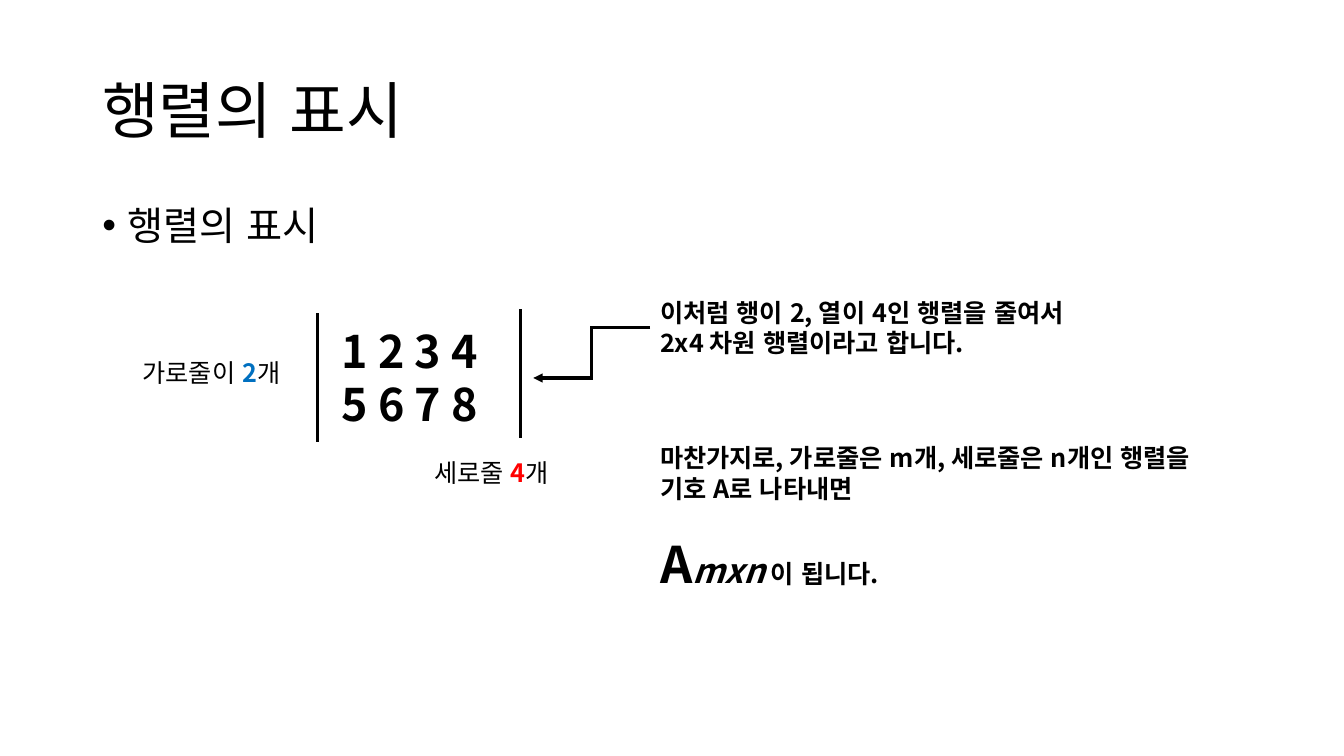
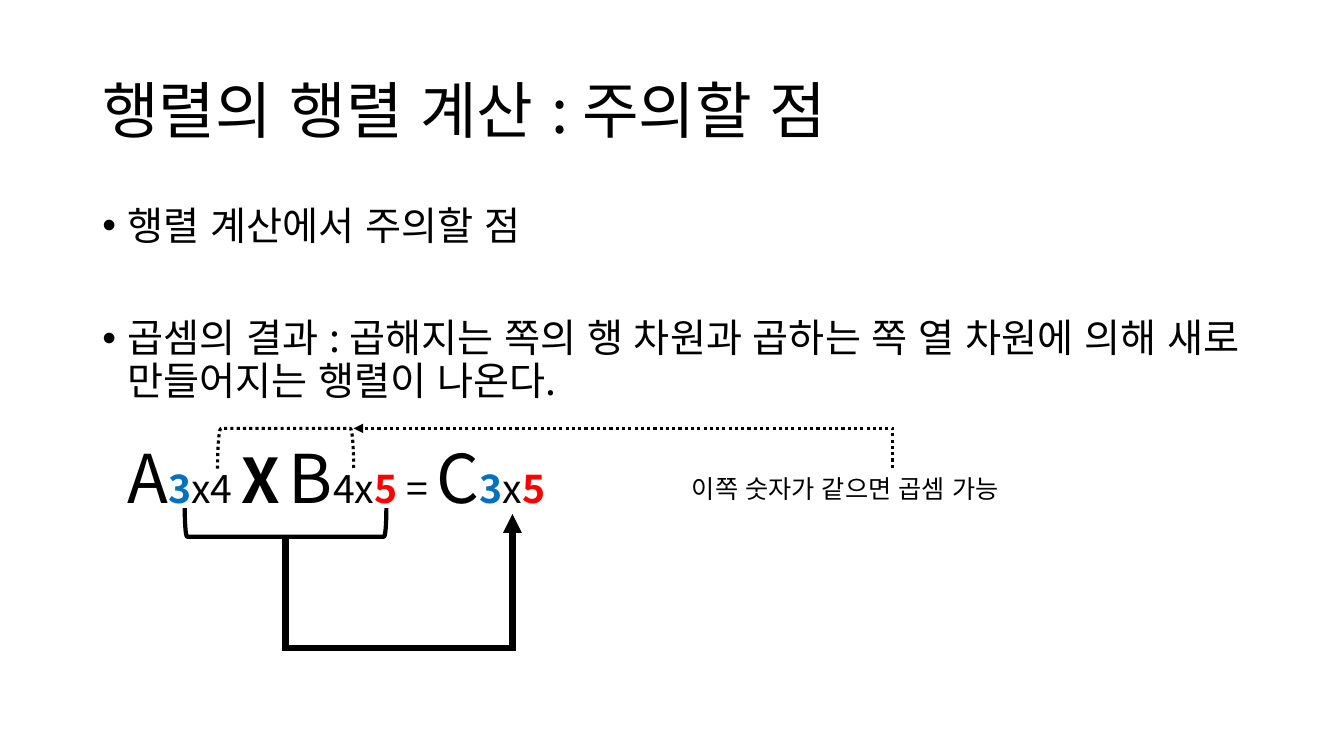
import pptx
import pptx.util
import pptx.dml.color
import pptx.enum.dml
import pptx.enum.lang
import pptx.enum.shapes
import pptx.enum.text
import pptx.oxml
import pptx.oxml.ns

qn = pptx.oxml.ns.qn
Pt = pptx.util.Pt

COLORS = {"ink": "000000", "row": "0070C0", "column": "FF0000"}
FONT = "Noto Sans CJK KR"
COLUMNS, ROWS = 16, 9
UNIT = pptx.util.Inches(7.5 / ROWS)

TITLE_BOX = (1.1, 0.48, 13.8, 1.74)
BODY_BOX = (1.1, 2.4, 13.8, 5.71)
LABEL_HEIGHT = 0.48


def grid(*cells):
    return [round(cell * UNIT) for cell in cells]


def shift(origin, x, y):
    return origin[0] + x, origin[1] + y


def add_xml(parent, tag, **attributes):
    child = parent.makeelement(qn(tag), attributes)
    parent.append(child)
    return child


def span(text, size=18, color="ink", bold=False, italic=False):
    return text, size, color, bold, italic


def add_span(para, text, size, color, bold, italic):
    run = para.add_run()
    run.text = text
    font = run.font
    font.name, font.size, font.bold, font.italic = FONT, Pt(size), bold, italic
    font.language_id = pptx.enum.lang.MSO_LANGUAGE_ID.KOREAN
    font.color.rgb = pptx.dml.color.RGBColor.from_string(COLORS[color])
    add_xml(font._element, "a:ea", typeface=FONT)


def add_text(page, area, paragraphs, wrap=True):
    """Place a list of paragraphs, each a list of spans, and return the box."""
    box = page.shapes.add_textbox(*grid(*area))
    frame = box.text_frame
    frame.word_wrap = wrap
    for index, spans in enumerate(paragraphs):
        para = frame.add_paragraph() if index else frame.paragraphs[0]
        for item in spans:
            add_span(para, *item)
    return box


def add_title(page, text):
    frame = add_text(page, TITLE_BOX, [[span(text, 44)]]).text_frame
    frame.vertical_anchor = pptx.enum.text.MSO_ANCHOR.MIDDLE
    frame.paragraphs[0].line_spacing = 0.9


def add_body(page, entries):
    """Place entries of (spans, space before in points, has bullet)."""
    frame = add_text(page, BODY_BOX, [spans for spans, _, _ in entries]).text_frame
    for para, (_, space, bullet) in zip(frame.paragraphs, entries):
        para.line_spacing = 0.9
        para.space_before = Pt(space)
        properties = para._p.get_or_add_pPr()
        margin = pptx.util.Inches(0.25)
        properties.set("marL", str(margin))
        properties.set("indent", str(-margin if bullet else 0))
        if bullet:
            add_xml(properties, "a:buFont", typeface="Arial")
            add_xml(properties, "a:buChar", char="•")


def style_line(shape, weight, dotted=False):
    line = shape.line
    line.color.rgb = pptx.dml.color.RGBColor.from_string(COLORS["ink"])
    line.width = Pt(weight)
    if dotted:
        line.dash_style = pptx.enum.dml.MSO_LINE.ROUND_DOT


def add_line(page, start, end, weight=2.25, dotted=False, elbow=False):
    kinds = pptx.enum.shapes.MSO_CONNECTOR
    kind = kinds.ELBOW if elbow else kinds.STRAIGHT
    line = page.shapes.add_connector(kind, *grid(*start, *end))
    style_line(line, weight, dotted)
    if elbow:
        outline = line._element.spPr.find(qn("a:ln"))
        add_xml(outline, "a:miter", lim="800000")
        add_xml(outline, "a:tailEnd", type="triangle")
    add_xml(line._element.spPr, "a:effectLst")
    return line


def add_vertical_elbow(page, start, end, turn, weight, dotted=False, bend=None):
    """Draw an elbow arrow that leaves vertically; bend is the row of its far
    side, or None for a single corner. turn is 90 or 270 degrees."""
    sign = 1 if turn == 90 else -1
    middle = [(a + b) / 2 for a, b in zip(start, end)]

    def unturn(point):
        x, y = point[0] - middle[0], point[1] - middle[1]
        return middle[0] + sign * y, middle[1] - sign * x

    line = add_line(page, unturn(start), unturn(end), weight, dotted, elbow=True)
    properties = line._element.spPr
    properties.find(qn("a:xfrm")).set("rot", str(turn * 60000))
    geometry = properties.find(qn("a:prstGeom"))
    if bend is None:
        geometry.set("prst", "bentConnector2")
    else:
        share = round((bend - start[1]) / (end[1] - start[1]) * 100000)
        guides = geometry.find(qn("a:avLst"))
        add_xml(guides, "a:gd", name="adj1", fmla=f"val {share}")


def add_bracket(page, area, turn, weight, dotted=False):
    """Fill the area with a bracket lying on its side."""
    left, top, width, height = area
    inset = (width - height) / 2
    bracket = page.shapes.add_shape(
        pptx.enum.shapes.MSO_SHAPE.LEFT_BRACKET,
        *grid(left + inset, top - inset, height, width))
    bracket.rotation = turn
    bracket.shadow.inherit = False
    bracket.fill.background()
    style_line(bracket, weight, dotted)


def add_matrix(page, origin):
    numbers = ["1 2 3 4", "5 6 7 8"]
    add_text(page, (*shift(origin, 2.37, 0.11), 3.14, 1.42),
             [[span(row, 32, bold=True)] for row in numbers])
    for x, y in [(2.2, 0.05), (4.62, 0)]:
        add_line(page, shift(origin, x, y), shift(origin, x, y + 1.53))
    labels = [("가로줄이 ", "2", "row", (0, 0.52), 2.03, False),
              ("세로줄 ", "4", "column", (3.47, 1.71), 2.29, True)]
    for text, count, color, place, width, wrap in labels:
        add_text(page, (*shift(origin, *place), width, LABEL_HEIGHT),
                 [[span(text), span(count, color=color, bold=True), span("개")]], wrap)


def add_notes(page, origin):
    first = ["이처럼 행이 2, 열이 4인 행렬을 줄여서", "2x4 차원 행렬이라고 합니다."]
    second = ["마찬가지로, 가로줄은 m개, 세로줄은 n개인 행렬을", "기호 A로 나타내면"]
    symbol = [span("A", 36, bold=True), span("mxn", 24, bold=True, italic=True),
              span(" 이 됩니다.", bold=True)]
    add_text(page, (*origin, 5.65, 0.85), [[span(text, bold=True)] for text in first])
    box = add_text(page, (*shift(origin, 0, 1.73), 7.33, 1.94),
                   [[span(text, bold=True)] for text in second] + [symbol])
    box.text_frame.paragraphs[-1].space_before = Pt(21.5)


def add_product_marks(page, origin):
    """Mark which sizes must match and which ones make the result."""
    add_bracket(page, (*shift(origin, 0, 0.95), 2.4, 0.34), 270, 3)
    add_vertical_elbow(page, shift(origin, 1.2, 1.28), shift(origin, 3.9, 1.02),
                       90, 4.5, bend=origin[1] + 2.62)
    add_bracket(page, (*shift(origin, 0.39, 0), 1.62, 0.48), 90, 2.25, dotted=True)
    add_text(page, (*shift(origin, 5.92, 0.47), 5.02, LABEL_HEIGHT),
             [[span("이쪽 숫자가 같으면 곱셈 가능")]])
    add_vertical_elbow(page, shift(origin, 8.43, 0.47), shift(origin, 2.01, 0),
                       270, 2.25, dotted=True)


def build_notation(page):
    matrix, notes = (1.58, 3.68), (7.74, 3.48)
    add_title(page, "행렬의 표시")
    add_body(page, [([span("행렬의 표시", 28)], 10, True)])
    add_matrix(page, matrix)
    add_notes(page, notes)
    add_line(page, shift(notes, 0, 0.42), shift(matrix, 4.77, 0.82), elbow=True)


def build_product(page):
    three, five = span("3", 28, "row", True), span("5", 28, "column", True)
    formula = [span("A", 48), three, span("x4 ", 28), span("X", 44, bold=True),
               span(" ", 28), span("B", 48), span("4x", 28), five,
               span(" = ", 28), span("C", 48), three, span("x", 28), five]
    result = ("곱셈의 결과 : 곱해지는 쪽의 행 차원과 곱하는 쪽 열 차원에 의해 "
              "새로 만들어지는 행렬이 나온다.")
    add_title(page, "행렬의 행렬 계산 : 주의할 점")
    add_body(page, [([span("행렬 계산에서 주의할 점", 28)], 10, True),
                    ([span(result, 28)], 50, True),
                    (formula, 30, False)])
    add_product_marks(page, (2.2, 5.1))


def main():
    deck = pptx.Presentation()
    deck.slide_width, deck.slide_height = grid(COLUMNS, ROWS)
    for build in (build_notation, build_product):
        build(deck.slides.add_slide(deck.slide_layouts[6]))
    deck.save("out.pptx")


if __name__ == "__main__":
    main()
